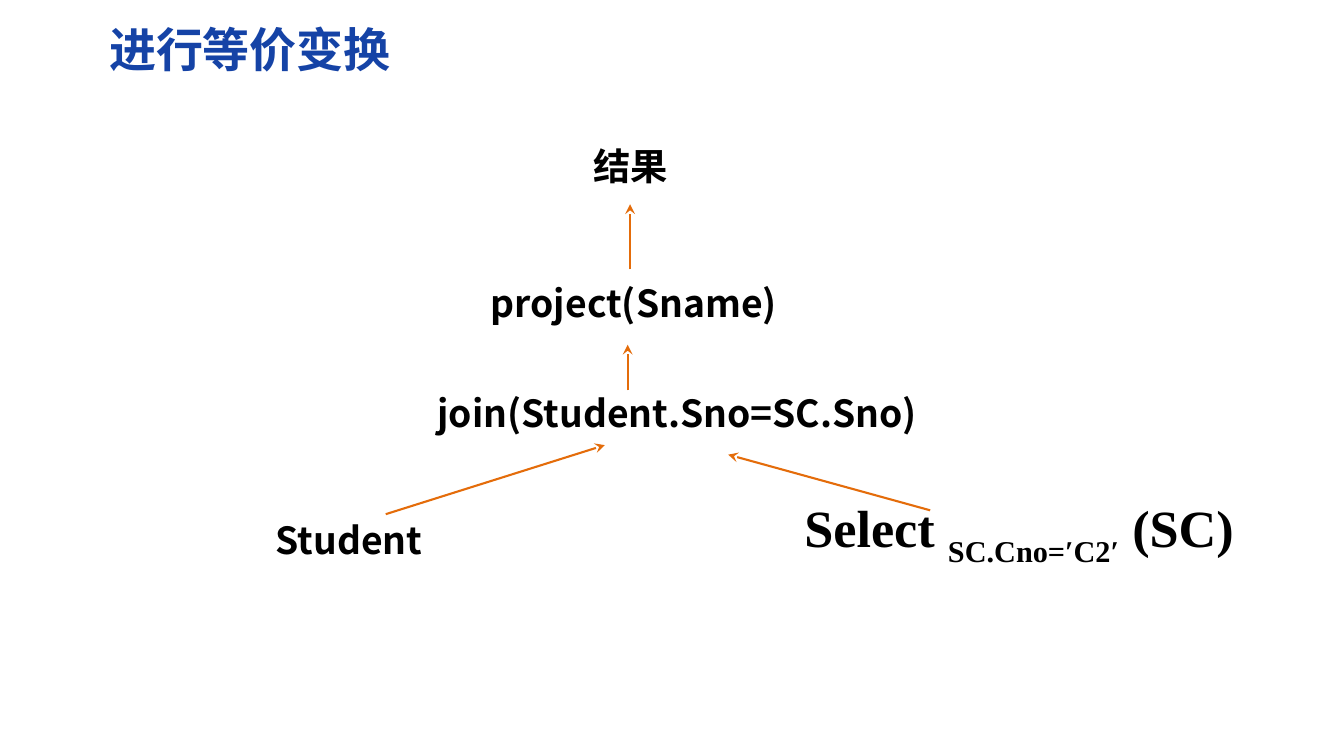
from lxml.etree import SubElement
from pptx import Presentation
from pptx.dml.color import RGBColor
from pptx.enum.shapes import MSO_CONNECTOR
from pptx.enum.text import MSO_ANCHOR, MSO_AUTO_SIZE, PP_ALIGN
from pptx.oxml.ns import qn
from pptx.util import Cm, Pt

SANS = "Noto Sans CJK SC"
SERIF = "Times New Roman"
FRAME = {
    "margin_left": Cm(0.28),
    "margin_right": Cm(0.28),
    "margin_top": Cm(0.15),
    "margin_bottom": Cm(0.15),
    "vertical_anchor": MSO_ANCHOR.MIDDLE,
    "auto_size": MSO_AUTO_SIZE.NONE,
}
NODES = [
    (5.21, 0, 4.24, 1.37, SANS, 22.2, ["结果"]),
    (4.19, 2.98, 6.58, 1.17, SANS, 22.2, ["project(Sname) "]),
    (3.48, 5.19, 9.65, 1.37, SANS, 22.2, [" join(Student.Sno=SC.Sno) "]),
    (0, 7.85, 2.82, 1.37, SANS, 22.2, ["Student"]),
    (11.48, 7.7, 8, 1.37, SERIF, 31.1, ["Select ", "SC.Cno=′C2′", " (SC)"]),
]
ARROWS = [
    (7.31, 2.87, 7.31, 1.5),
    (7.26, 5.41, 7.26, 4.45),
    (2.18, 8.01, 6.78, 6.56),
    (13.61, 7.93, 9.37, 6.76),
]


def color(code):
    return RGBColor.from_string(code)


def apply(item, values):
    for name, value in values.items():
        setattr(item, name, value)


def write(shape, parts, face, size, code, align, wrap):
    frame = shape.text_frame
    apply(frame, {**FRAME, "word_wrap": wrap})
    para = frame.paragraphs[0]
    para.alignment = align
    for index, part in enumerate(parts):
        run = para.add_run()
        run.text = part
        apply(run.font, {"name": face, "size": Pt(size), "bold": True})
        run.font.color.rgb = color(code)
        props = run.font._element
        SubElement(props, qn("a:ea")).set("typeface", face)
        if index == 1:
            props.set("baseline", "-30000")


def draw_title(slide, left, top, width, height):
    title = slide.shapes.title
    apply(title, {"left": Cm(left), "top": Cm(top),
                  "width": Cm(width), "height": Cm(height)})
    write(title, ["进行等价变换"], SANS, 28, "1543A6", PP_ALIGN.LEFT, True)


def draw_arrow(slide, *ends):
    arrow = slide.shapes.add_connector(
        MSO_CONNECTOR.STRAIGHT, *[Cm(end) for end in ends])
    arrow.line.color.rgb = color("E46C0A")
    arrow.line.width = Pt(1.25)
    line = arrow.line._get_or_add_ln()
    SubElement(line, qn("a:tailEnd")).set("type", "stealth")
    SubElement(arrow._element.spPr, qn("a:effectLst"))


def draw_tree(slide, left, top):
    for x, y, width, height, face, size, parts in NODES:
        node = slide.shapes.add_textbox(
            Cm(left + x), Cm(top + y), Cm(width), Cm(height))
        write(node, parts, face, size, "000000", PP_ALIGN.CENTER, False)
    for x, y, end_x, end_y in ARROWS:
        draw_arrow(slide, left + x, top + y, left + end_x, top + end_y)


def main():
    deck = Presentation()
    apply(deck, {"slide_width": Cm(28.22), "slide_height": Cm(15.88)})
    slide = deck.slides.add_slide(deck.slide_layouts[5])
    draw_title(slide, 2.01, 0.3, 24.92, 1.45)
    draw_tree(slide, 5.92, 2.79)
    deck.save("out.pptx")


if __name__ == "__main__":
    main()
